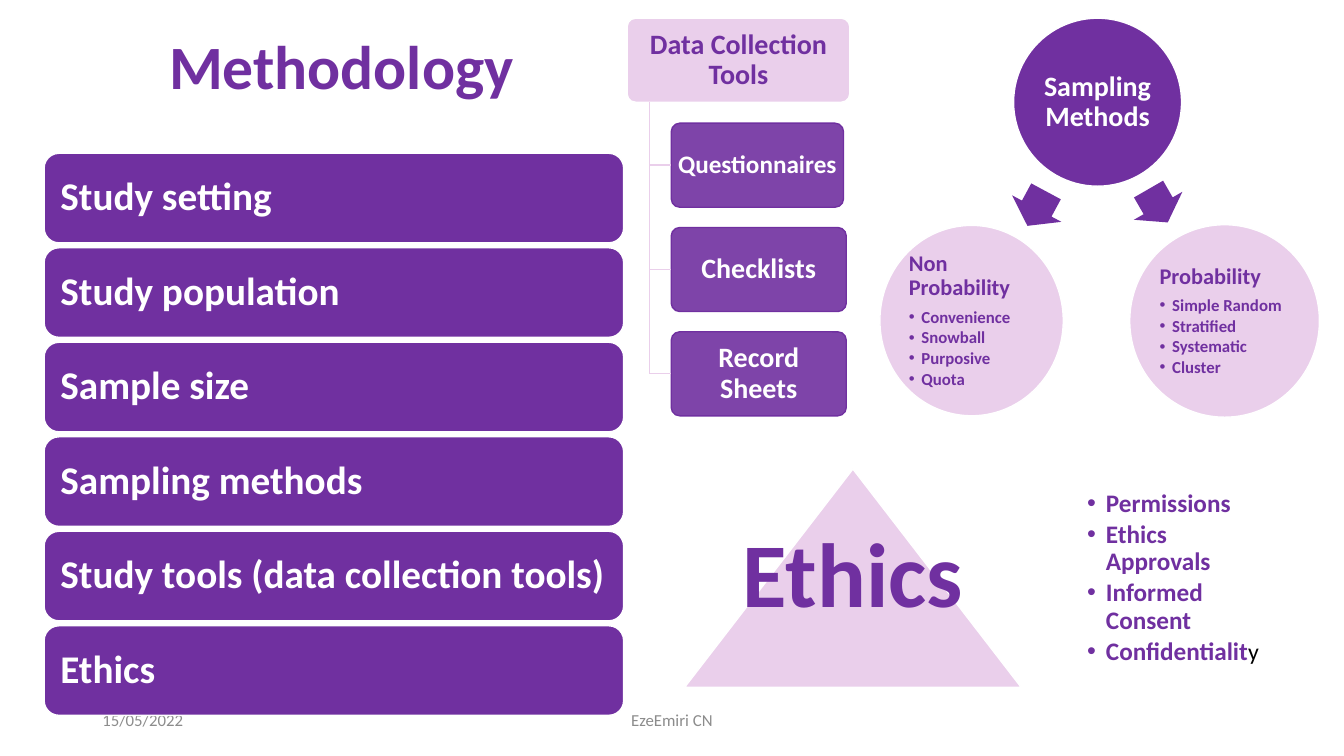
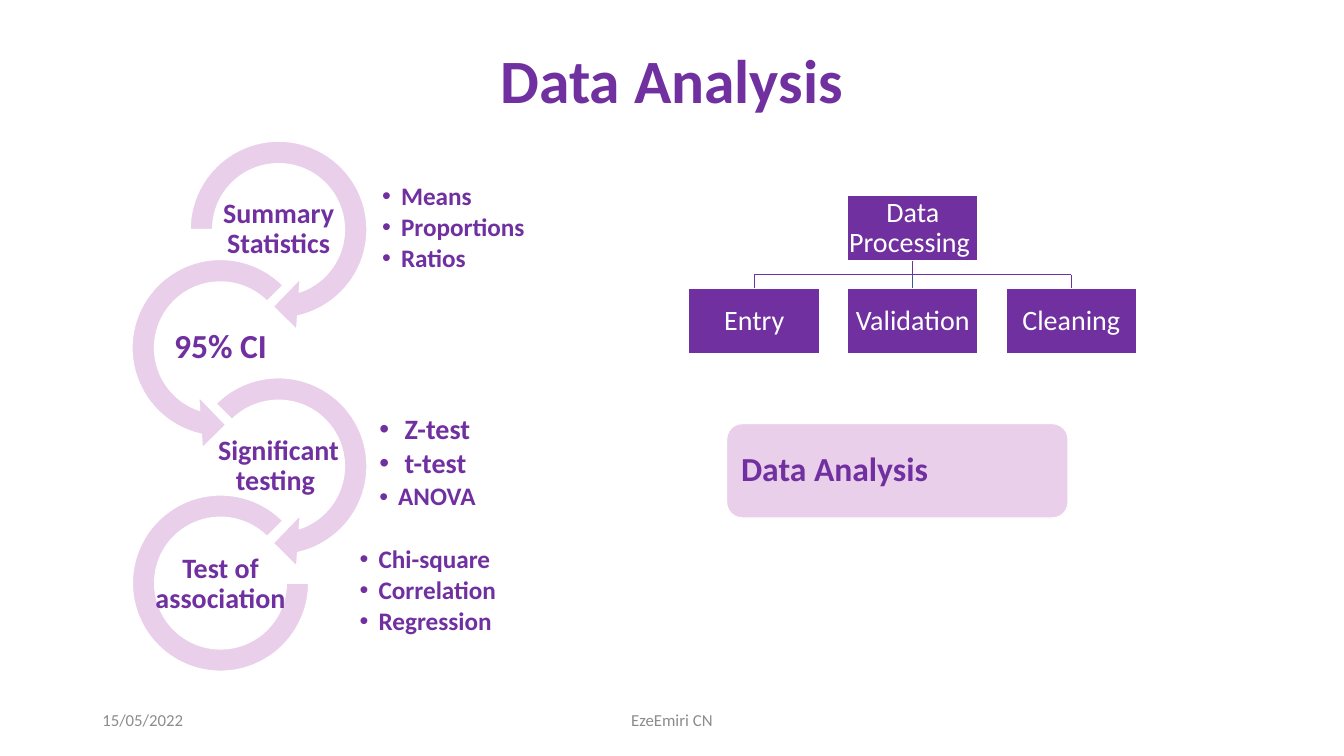
"""Build two slides on study methodology and data analysis."""
import pptx
import pptx.dml.color
import pptx.enum.shapes
import pptx.enum.text
import pptx.oxml.ns
import pptx.util
from lxml import etree

Pt = pptx.util.Pt
RGB = pptx.dml.color.RGBColor
SHAPE = pptx.enum.shapes.MSO_SHAPE
ALIGN = pptx.enum.text.PP_ALIGN
qn = pptx.oxml.ns.qn

PURPLE = RGB(0x70, 0x30, 0xA0)
LILAC = RGB(0xEA, 0xCF, 0xEB)
WHITE = RGB(0xFF, 0xFF, 0xFF)
BLACK = RGB(0, 0, 0)
BLUE = RGB(0x36, 0x5B, 0x9D)
GRAY = RGB(0x8C, 0x8C, 0x8C)
FONT = "Calibri"


def frame(sp, inset):
    """Wrap and centre the text vertically, with equal side and top insets."""
    tf = sp.text_frame
    tf.word_wrap = True
    tf.vertical_anchor = pptx.enum.text.MSO_ANCHOR.MIDDLE
    tf.margin_left = tf.margin_right = Pt(inset)
    tf.margin_top = tf.margin_bottom = Pt(min(inset, 3.6))
    return tf


def style(p, size, color, bold=True, align=ALIGN.LEFT, spacing=0.9):
    """Set the font, alignment and line spacing of a paragraph."""
    p.font.name, p.font.size, p.font.bold = FONT, Pt(size), bold
    p.font.color.rgb = color
    p.alignment = align
    p.line_spacing = spacing


def write(sp, text, size, color, inset=1, align=ALIGN.CENTER, bold=True):
    """Put one paragraph into a shape."""
    p = frame(sp, inset).paragraphs[0]
    p.text = text
    style(p, size, color, bold, align)


def box(s, x, y, w, h):
    """Add an empty text box."""
    return s.shapes.add_textbox(Pt(x), Pt(y), Pt(w), Pt(h))


def shape(s, kind, x, y, w, h, fill, line=WHITE, adj=(), alpha=None):
    """Add a flat filled shape."""
    sp = s.shapes.add_shape(kind, Pt(x), Pt(y), Pt(w), Pt(h))
    sp.shadow.inherit = False
    sp.fill.solid()
    sp.fill.fore_color.rgb = fill
    if alpha:
        clr = sp.fill._xPr.find(".//" + qn("a:srgbClr"))
        etree.SubElement(clr, qn("a:alpha")).set("val", str(alpha * 1000))
    if line is None:
        sp.line.fill.background()
    else:
        sp.line.color.rgb = line
        sp.line.width = Pt(1)
    for i, value in enumerate(adj):
        sp.adjustments[i] = value
    return sp


def connect(s, x1, y1, x2, y2, color, begin=None, end=None):
    """Add a straight line; begin and end are (shape, site) pairs."""
    straight = pptx.enum.shapes.MSO_CONNECTOR.STRAIGHT
    cx = s.shapes.add_connector(straight, Pt(x1), Pt(y1), Pt(x2), Pt(y2))
    cx.line.color.rgb = color
    cx.line.width = Pt(1)
    etree.SubElement(cx._element.spPr, qn("a:effectLst"))
    if begin:
        cx.begin_connect(*begin)
    if end:
        cx.end_connect(*end)


def bullets(sp, items, inset=1, heading=None):
    """Fill a shape with (text, size, indent) bullets under an optional heading."""
    tf = frame(sp, inset)
    p = tf.paragraphs[0]
    if heading:
        p.text = heading
        style(p, 16, PURPLE)
        p.space_after = Pt(5.6)
        p = tf.add_paragraph()
    for i, (text, size, indent) in enumerate(items):
        if i:
            p = tf.add_paragraph()
        p.text = text
        style(p, size, PURPLE)
        p.space_after = Pt(round(0.15 * size, 1))
        pPr = p._p.get_or_add_pPr()
        pPr.set("marL", str(Pt(indent)))
        pPr.set("indent", str(-Pt(indent)))
        font = etree.Element(qn("a:buFont"), typeface="Arial")
        char = etree.Element(qn("a:buChar"), char="•")
        pPr.find(qn("a:defRPr")).addprevious(font)
        font.addnext(char)
    return p


def new_slide(prs, title, x, y, w, h):
    """Add a blank slide with its title and footers."""
    s = prs.slides.add_slide(prs.slide_layouts[6])
    write(box(s, x, y, w, h), title, 44, PURPLE, 7.2)
    write(box(s, 66, 500.5, 216, 29), "15/05/2022", 12, GRAY, 7.2, ALIGN.LEFT, False)
    write(box(s, 318, 500.5, 324, 29), "EzeEmiri CN", 12, GRAY, 7.2, bold=False)
    return s


def study_bars(s):
    """Stack the six methodology headings."""
    topics = ["Study setting", "Study population", "Sample size", "Sampling methods",
              "Study tools (data collection tools)", "Ethics"]
    for i, topic in enumerate(topics):
        bar = shape(s, SHAPE.ROUNDED_RECTANGLE, 31.5, 109.5 + 67.5 * i, 414, 64, PURPLE)
        write(bar, topic, 28, WHITE, 8.6, ALIGN.LEFT)


def collection_tools(s):
    """Draw the data collection tools hanging from a trunk line."""
    rounded = SHAPE.ROUNDED_RECTANGLE
    head = shape(s, rounded, 448, 13, 159, 60, LILAC, adj=[0.1])
    write(head, "Data Collection Tools", 20, PURPLE, 2.5)
    trunk_x = 464
    tools = [("Questionnaires", 18, 123), ("Checklists", 20, 125), ("Record Sheets", 20, 125)]
    for i, (tool, size, w) in enumerate(tools):
        y = 88 + 74.5 * i
        sp = shape(s, rounded, 479.5, y, w, 60, PURPLE, PURPLE, [0.1], 90)
        write(sp, tool, size, WHITE, 2.5)
        connect(s, trunk_x, y + 30, 479.5, y + 30, LILAC, end=(sp, 1))
    connect(s, trunk_x, 73, trunk_x, y + 30, LILAC)


def sampling_methods(s):
    """Draw the sampling circle and its two branches."""
    write(shape(s, SHAPE.OVAL, 724, 13, 120, 120, PURPLE), "Sampling Methods", 20, WHITE, 2)
    branches = [
        ("Probability", ["Simple Random", "Stratified", "Systematic", "Cluster"],
         (807, 160.5, 135.5, 137.5), (813.5, 127, 27.5, 40), 60),
        ("Non Probability", ["Convenience", "Snowball", "Purposive", "Quota"],
         (628.5, 161, 131, 136), (726.5, 129, 28, 40), 118.3)]
    for name, methods, circle, arrow, angle in branches:
        sp = shape(s, SHAPE.OVAL, *circle, LILAC)
        bullets(sp, [(m, 12, 9) for m in methods], 1.5, name)
        sp = shape(s, SHAPE.RIGHT_ARROW, *arrow, PURPLE, None, [0.6, 0.5])
        sp.rotation = angle


def ethics(s):
    """Draw the ethics triangle and its list."""
    area = (489, 335, 240.5, 156)
    shape(s, SHAPE.ISOSCELES_TRIANGLE, *area, LILAC)
    write(box(s, *area), "Ethics", 65, PURPLE, 6.5)
    points = ["Permissions", "Ethics Approvals", "Informed Consent", "Confidentialit"]
    last = bullets(box(s, 757, 335, 171, 156), [(t, 18, 13.5) for t in points], 19.5)
    r = last.add_run()
    r.text = "y"
    r.font.size, r.font.bold = Pt(17), False
    r.font.color.rgb = BLACK


def analysis_rings(s):
    """Draw the chain of ring arrows with labels and lists."""
    right, left = SHAPE.CIRCULAR_ARROW, SHAPE.LEFT_CIRCULAR_ARROW
    rings = [
        (right, 199, 147, [0.11, 11.423, 45, 108, 0.125], "Summary Statistics", 20, 82),
        (left, 157.5, 147, [0.11, 11.423, 63, 189, 0.125], "95% CI", 24, 82),
        (right, 199, 147, [0.11, 11.423, 45, 135, 0.125], "Significant testing ", 20, 94),
        (SHAPE.BLOCK_ARC, 157.5, 126, [0, 189, 0.127], "Test of association", 20, 101)]
    for i, (kind, cx, d, adj, label, size, w) in enumerate(rings):
        cy = 164 + 84.5 * i
        top = cy - d / 2 if kind != SHAPE.BLOCK_ARC else 353.5
        shape(s, kind, cx - d / 2, top, d, d, LILAC, adj=adj)
        write(box(s, cx - w / 2, cy - 20.5, w, 41), label, size, PURPLE)
    lists = [
        ((272, 134, 152, 58.5),
         [("Means", 18, 13.5), ("Proportions", 18, 13.5), ("Ratios", 18, 13.5)]),
        ((270, 304.5, 155, 53),
         [("Z-test", 20, 18), ("t-test", 20, 18), ("ANOVA", 18, 13.5)]),
        ((256, 393, 168.5, 58.5),
         [("Chi-square", 18, 13.5), ("Correlation", 18, 13.5), ("Regression", 18, 13.5)])]
    for area, items in lists:
        bullets(box(s, *area), items)


def processing_chart(s):
    """Draw the data processing tree."""
    w, h, gap, x0, y0, y1 = 93.5, 47, 113.25, 492, 139.5, 206
    bus_y = (y0 + h + y1) / 2
    xs = [x0 + gap * i for i in range(3)]
    mids = [x + w / 2 for x in xs]

    def node(x, y, text):
        """Add one tree node."""
        sp = shape(s, SHAPE.RECTANGLE, x, y, w, h, PURPLE)
        write(sp, text, 20, WHITE, bold=False)
        return sp

    root = node(xs[1], y0, "Data Processing ")
    steps = [node(x, y1, t) for x, t in zip(xs, ["Entry", "Validation", "Cleaning"])]
    connect(s, mids[1], y0 + h, mids[1], y1, BLUE, (root, 2), (steps[1], 0))
    connect(s, mids[1], y0 + h, mids[1], bus_y, PURPLE, (root, 2))
    connect(s, mids[0], bus_y, mids[2], bus_y, PURPLE)
    for i in (0, 2):
        connect(s, mids[i], bus_y, mids[i], y1, PURPLE, end=(steps[i], 0))


def main():
    """Build and save the presentation."""
    prs = pptx.Presentation()
    prs.slide_width, prs.slide_height = Pt(960), Pt(540)
    s = new_slide(prs, "Methodology", 8, 9.5, 472, 80.5)
    study_bars(s)
    collection_tools(s)
    sampling_methods(s)
    ethics(s)
    s = new_slide(prs, "Data Analysis", 66, 29, 828, 62)
    analysis_rings(s)
    processing_chart(s)
    panel = shape(s, SHAPE.ROUNDED_RECTANGLE, 519, 302.5, 244, 67.5, LILAC)
    write(panel, "Data Analysis", 24, PURPLE, 7.2, ALIGN.LEFT)
    prs.save("out.pptx")


if __name__ == "__main__":
    main()
